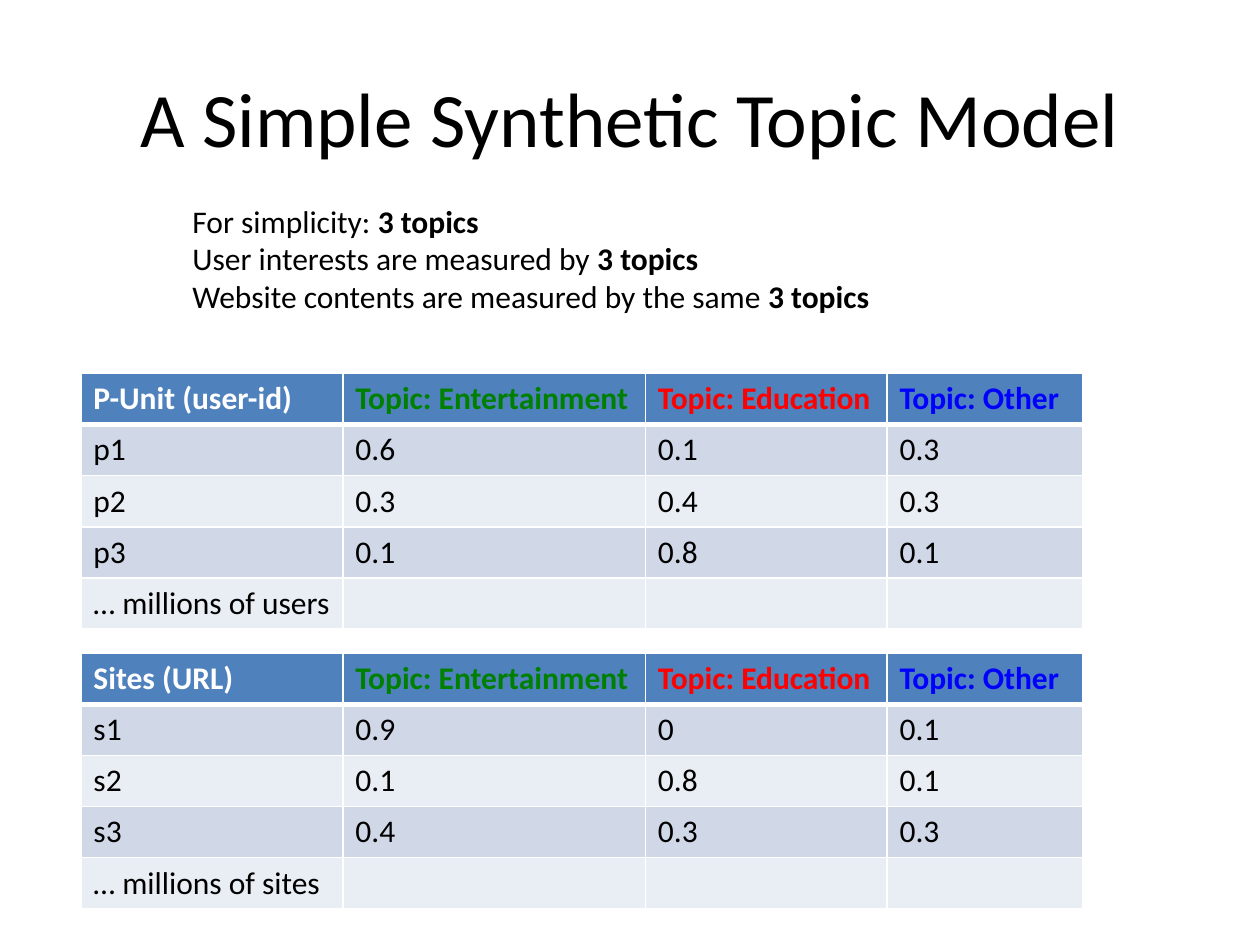
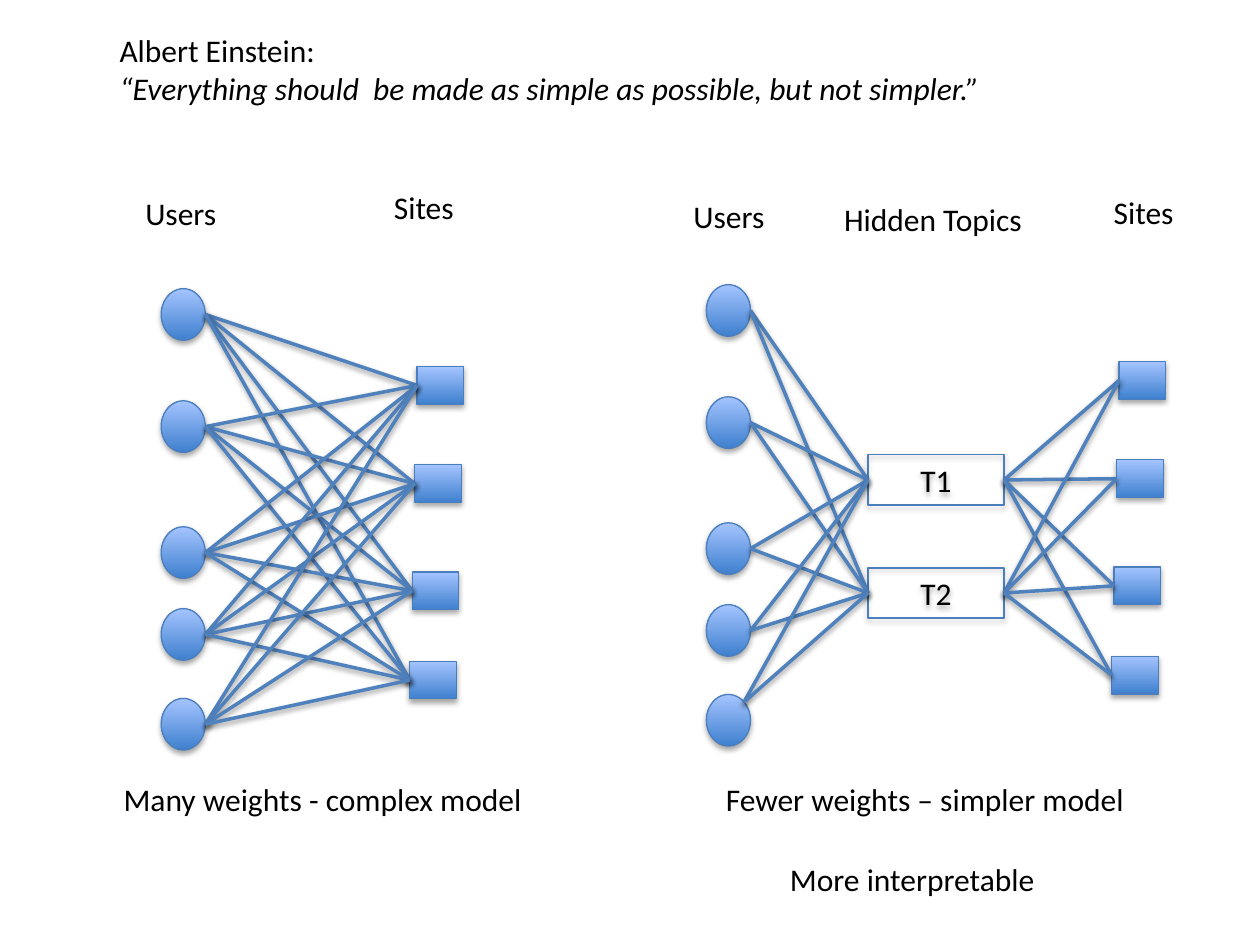
from itertools import product
from lxml import etree
from pptx import Presentation
from pptx.dml.color import RGBColor
from pptx.enum.shapes import MSO_CONNECTOR as Link, MSO_SHAPE as Shape
from pptx.enum.text import MSO_ANCHOR as Anchor, PP_ALIGN as Align
from pptx.oxml import parse_xml
from pptx.oxml.ns import nsdecls, qn
from pptx.util import Cm, Pt

HUES = {
    "ink": "000000", "white": "FFFFFF", "head": "4F81BD",
    "band": "D0D8E8", "pale": "E9EDF4",
    "fun": "008000", "learn": "FF0000", "other": "0000FF",
    "deep": "3F80CE", "light": "A4C4FF", "edge": "4B7EBC",
}
FONT = "Calibri"
ROW = 1.02  # height of a one-line label

# Node sizes and vertical steps, shared by both network models
USER = (0.89, 1.04)
SITE = (0.94, 0.76)
TOPIC = (2.74, 1.01)
USER_STEPS = (0, 2.26, 4.8, 6.45, 8.26)
SITE_STEPS = (0, 1.98, 4.14, 5.94)


def hue(name):
    return RGBColor.from_string(HUES[name])


def style(para, size=18, color="ink", bold=None, align=None):
    font = para.font
    font.name, font.size, font.bold = FONT, Pt(size), bold
    font.color.rgb = hue(color)
    para.alignment = align


def text(slide, box, lines, size=18, align=Align.LEFT, anchor=Anchor.TOP):
    """Each line is a list of (words, mark) pairs; mark is "", "b" or "i"."""
    frame = slide.shapes.add_textbox(*map(Cm, box)).text_frame
    frame.word_wrap, frame.vertical_anchor = True, anchor
    for i, line in enumerate(lines):
        para = frame.add_paragraph() if i else frame.paragraphs[0]
        for words, mark in line:
            run = para.add_run()
            run.text = words
            if mark == "b":
                run.font.bold = True
            if mark == "i":
                run.font.italic = True
        style(para, size, align=align)


def label(slide, x, y, width, words):
    text(slide, (x, y, width, ROW), [[(words, "")]], align=Align.CENTER)


# Tables
def border(cell, top, bottom):
    props = cell._tc.get_or_add_tcPr()
    for side, width in (("L", 1), ("R", 1), ("T", top), ("B", bottom)):
        props.append(parse_xml(
            f'<a:ln{side} {nsdecls("a")} w="{Pt(width)}"><a:solidFill>'
            f'<a:srgbClr val="{HUES["white"]}"/></a:solidFill></a:ln{side}>'))


def grid(slide, x, y, head, rows):
    heads = [head, "Topic: Entertainment", "Topic: Education", "Topic: Other"]
    widths = (5.28, 6.1, 4.87, 3.95)
    data = [heads] + rows
    high = 1.03
    table = slide.shapes.add_table(
        len(data), len(widths), Cm(x), Cm(y),
        Cm(sum(widths)), Cm(high * len(data))).table
    for col, width in zip(table.columns, widths):
        col.width = Cm(width)
    for r, row in enumerate(data):
        table.rows[r].height = Cm(high)
        for c, color in enumerate(("white", "fun", "learn", "other")):
            cell = table.cell(r, c)
            border(cell, 3 if r == 1 else 1, 1 if r else 3)
            cell.fill.solid()
            fill = ("band" if r % 2 else "pale") if r else "head"
            cell.fill.fore_color.rgb = hue(fill)
            cell.text = row[c] if c < len(row) else ""
            style(cell.text_frame.paragraphs[0],
                  color="ink" if r else color, bold=not r)


# Network parts
def shade(item, dist, alpha):
    props = item._element.spPr
    effects = etree.SubElement(props, qn("a:effectLst"))
    shadow = etree.SubElement(
        effects, qn("a:outerShdw"), blurRad="40000", dist=str(dist),
        dir="5400000", rotWithShape="0")
    color = etree.SubElement(shadow, qn("a:srgbClr"), val=HUES["ink"])
    etree.SubElement(color, qn("a:alpha"), val=str(alpha * 1000))


def node(slide, kind, x, y, size, words=""):
    item = slide.shapes.add_shape(kind, *map(Cm, (x, y, *size)))
    if words:
        item.fill.background()
        para = item.text_frame.paragraphs[0]
        para.text = words
        style(para, align=Align.CENTER)
    else:
        item.fill.gradient()
        item.fill.gradient_angle = 90
        for stop, name, place in zip(item.fill.gradient_stops,
                                     ("deep", "light"), (0, 1)):
            stop.color.rgb = hue(name)
            stop.position = place
    item.line.color.rgb = hue("edge")
    item.line.width = Pt(0.75)
    shade(item, 23000, 35)
    return item


def users(slide, x, y):
    return [node(slide, Shape.OVAL, x, y + step, USER) for step in USER_STEPS]


def sites(slide, x, y):
    return [node(slide, Shape.RECTANGLE, x - 0.05 * i, y + step, SITE)
            for i, step in enumerate(SITE_STEPS)]


def port(item, across, down=0.5):
    return (item.left + int(item.width * across),
            item.top + int(item.height * down))


def left(items):
    return [port(item, 0) for item in items]


def right(items):
    return [port(item, 1) for item in items]


def join(slide, starts, ends):
    for start, end in product(starts, ends):
        line = slide.shapes.add_connector(Link.STRAIGHT, *start, *end)
        line.line.color.rgb = hue("head")
        line.line.width = Pt(2)
        shade(line, 20000, 38)


def dense(slide, x, y):
    label(slide, x, y + 0.13, 2.31, "Users")
    label(slide, x + 5.05, y, 2.01, "Sites")
    people = users(slide, x + 0.76, y + 2.16)
    pages = sites(slide, x + 5.92, y + 3.73)
    join(slide, right(people), left(pages))


def sparse(slide, x, y):
    label(slide, x, y + 0.08, 2.31, "Users")
    label(slide, x + 2.87, y + 0.15, 4.8, "Hidden Topics")
    label(slide, x + 8.36, y, 2.31, "Sites")
    topics = [node(slide, Shape.RECTANGLE, x + 3.96, y + 5.41 + 2.28 * i,
                   TOPIC, f"T{i + 1}") for i in range(2)]
    people = users(slide, x + 0.7, y + 1.98)
    pages = sites(slide, x + 9.02, y + 3.53)
    # The lowest user links from its upper right edge
    starts = right(people[:-1]) + [port(people[-1], 0.85, 0.15)]
    join(slide, starts, left(topics))
    join(slide, right(topics), left(pages))


# Slides
def tables(slide):
    text(slide, (1.27, 0.76, 22.86, 3.18),
         [[("A Simple Synthetic Topic Model", "")]],
         44, Align.CENTER, Anchor.MIDDLE)
    facts = ("For simplicity: ", "User interests are measured by ",
             "Website contents are measured by the same ")
    text(slide, (3.63, 3.94, 15.57, 2.57),
         [[(fact, ""), ("3 topics", "b")] for fact in facts])
    grid(slide, 1.63, 7.53, "P-Unit (user-id)", [
        ["p1", "0.6", "0.1", "0.3"],
        ["p2", "0.3", "0.4", "0.3"],
        ["p3", "0.1", "0.8", "0.1"],
        ["… millions of users"]])
    grid(slide, 1.63, 13.17, "Sites (URL)", [
        ["s1", "0.9", "0", "0.1"],
        ["s2", "0.1", "0.8", "0.1"],
        ["s3", "0.4", "0.3", "0.3"],
        ["… millions of sites"]])


def models(slide):
    dense(slide, 2.49, 3.66)
    sparse(slide, 13.54, 3.76)
    label(slide, 0.97, 15.6, 11.07, "Many weights - complex model")
    label(slide, 13.11, 15.6, 11.07, "Fewer weights – simpler model")
    label(slide, 15.01, 17.22, 6.76, "More interpretable")
    quote = ("“Everything should  be made as simple as possible, "
             "but not simpler.”")
    text(slide, (2.16, 0.51, 19.76, 1.8),
         [[("Albert Einstein:", "")], [(quote, "i")]])


def main():
    deck = Presentation()
    deck.slide_width, deck.slide_height = Cm(25.4), Cm(19.05)
    for build in (tables, models):
        build(deck.slides.add_slide(deck.slide_layouts[6]))
    deck.save("out.pptx")


if __name__ == "__main__":
    main()
